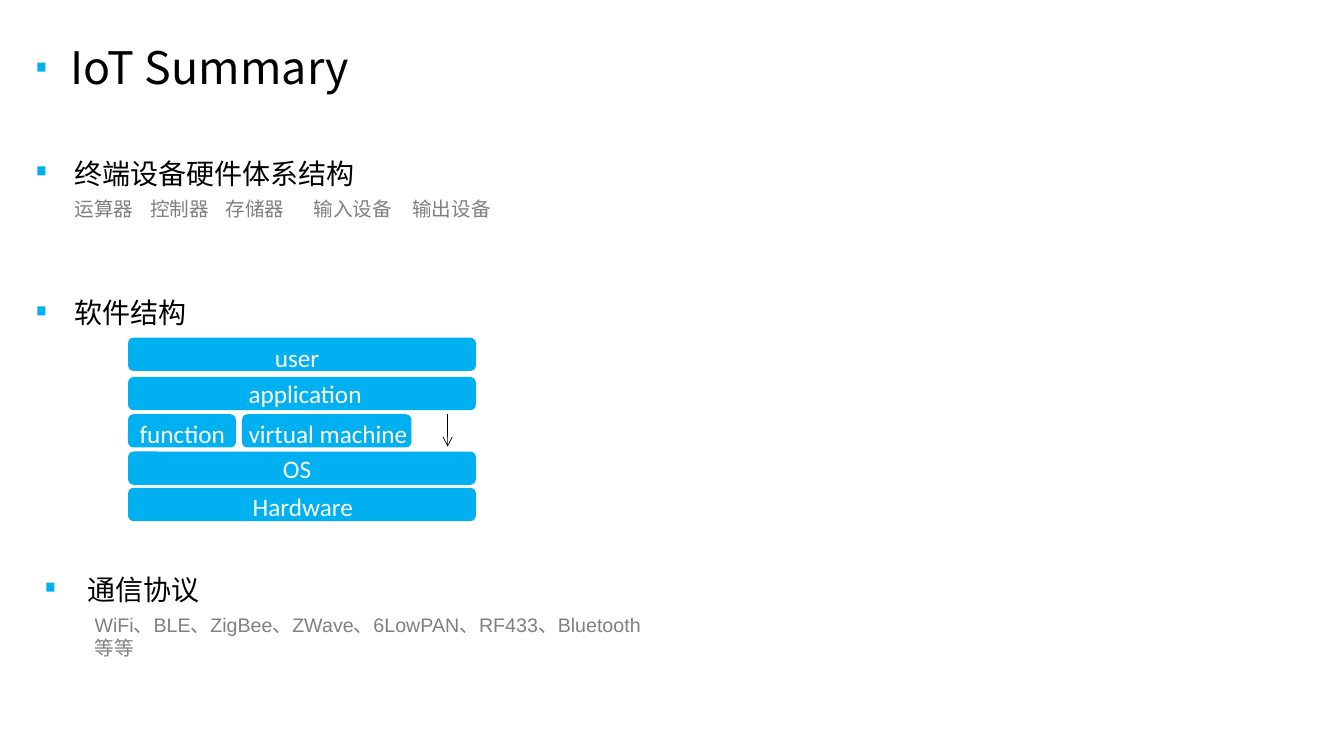
"""Build the IoT summary slide."""
from lxml import etree
from pptx import Presentation
from pptx.dml.color import RGBColor
from pptx.enum.shapes import MSO_CONNECTOR, MSO_SHAPE
from pptx.enum.text import MSO_ANCHOR, PP_ALIGN
from pptx.oxml.ns import qn
from pptx.util import Inches, Pt

RECTANGLE = MSO_SHAPE.RECTANGLE
ROUNDED = MSO_SHAPE.ROUNDED_RECTANGLE
STRAIGHT = MSO_CONNECTOR.STRAIGHT
TOP, MIDDLE = MSO_ANCHOR.TOP, MSO_ANCHOR.MIDDLE
LEFT = PP_ALIGN.LEFT
COLORS = {"black": "000000", "grey": "808080", "blue": "00B0F0", "white": "FFFFFF"}


def write(frame, text, size, font, color):
    paragraph = frame.paragraphs[0]
    paragraph.alignment = LEFT
    run = paragraph.add_run()
    run.text = text
    run.font.size = Pt(size)
    run.font.name = font
    run.font.color.rgb = RGBColor.from_string(COLORS[color])


def add_block(kind, left, top, width, height):
    shape = slide.shapes.add_shape(kind, Inches(left), Inches(top), Inches(width), Inches(height))
    shape.shadow.inherit = False
    shape.fill.solid()
    shape.fill.fore_color.rgb = RGBColor.from_string(COLORS["blue"])
    shape.line.fill.background()
    return shape


presentation = Presentation()
presentation.slide_width = Inches(13.33)
presentation.slide_height = Inches(7.5)
slide = presentation.slides.add_slide(presentation.slide_layouts[5])

title = slide.shapes.title
title.left, title.top = Inches(0.6), Inches(0.34)
title.width, title.height = Inches(3.64), Inches(0.64)
title.text_frame.vertical_anchor = MIDDLE
write(title.text_frame, "IoT Summary", 32, "Noto Sans CJK SC", "black")

for left, top in [(0.37, 0.62), (0.37, 1.65), (0.37, 3.04), (0.46, 5.78)]:
    add_block(RECTANGLE, left, top, 0.08, 0.09)

headings = [
    ("终端设备硬件体系结构", 0.64, 1.5, 3.01),
    ("软件结构", 0.64, 2.88, 1.32),
    ("通信协议", 0.77, 5.63, 1.32),
]
for text, left, top, width in headings:
    box = slide.shapes.add_textbox(Inches(left), Inches(top), Inches(width), Inches(0.44))
    write(box.text_frame, text, 20, "Arial", "black")

hardware_parts = [
    ("运算器", 0.64, 0.79),
    ("控制器", 1.39, 0.79),
    ("存储器", 2.14, 0.79),
    ("输入设备", 3.01, 0.99),
    ("输出设备", 3.99, 0.99),
]
for text, left, width in hardware_parts:
    box = slide.shapes.add_textbox(Inches(left), Inches(1.9), Inches(width), Inches(0.34))
    write(box.text_frame, text, 14, "Arial", "grey")

software_layers = [
    ("user", 1.27, 3.35, 3.45, 1.44, 0.03),
    ("application", 1.27, 3.74, 3.45, 1.18, 0),
    ("function", 1.27, 4.11, 1.07, 0.1, 0.02),
    ("virtual machine", 2.4, 4.11, 1.68, 0.05, 0.02),
    ("OS", 1.27, 4.48, 3.45, 1.52, 0),
    ("Hardware", 1.27, 4.84, 3.45, 1.22, 0.02),
]
for text, left, top, width, indent, drop in software_layers:
    layer = add_block(ROUNDED, left, top, width, 0.33)
    frame = layer.text_frame
    frame.word_wrap = True
    frame.vertical_anchor = TOP
    frame.margin_left, frame.margin_top = Inches(indent), Inches(drop)
    frame.margin_right = frame.margin_bottom = 0
    write(frame, text, 18, "Calibri", "white")

arrow = slide.shapes.add_connector(STRAIGHT, Inches(4.44), Inches(4.11), Inches(4.44), Inches(4.43))
arrow.line.color.rgb = RGBColor.from_string(COLORS["black"])
arrow.line.width = Pt(0.5)
etree.SubElement(arrow.line._get_or_add_ln(), qn("a:tailEnd"), type="arrow")
etree.SubElement(arrow._element.spPr, qn("a:effectLst"))

protocols = slide.shapes.add_textbox(Inches(0.84), Inches(6.03), Inches(5.8), Inches(0.34))
protocols.text_frame.word_wrap = True
write(
    protocols.text_frame,
    "WiFi、BLE、ZigBee、ZWave、6LowPAN、RF433、Bluetooth等等",
    14, "Arial", "grey",
)

presentation.save("out.pptx")
